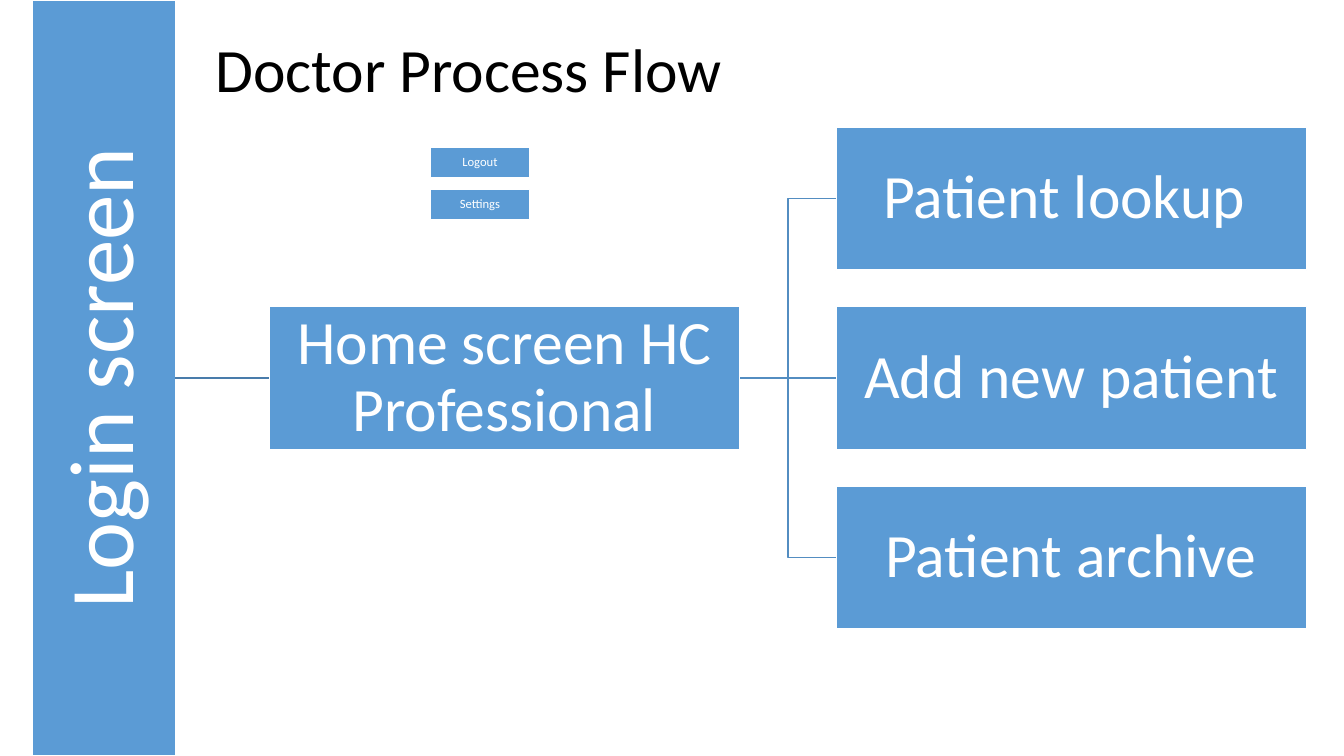
from dataclasses import dataclass

from lxml import etree
from pptx import Presentation
from pptx.dml.color import RGBColor
from pptx.enum import shapes, text
from pptx.oxml import ns
from pptx.util import Inches, Pt


@dataclass(frozen=True)
class Theme:
    font: str = "Calibri"
    box_fill: RGBColor = RGBColor(0x5B, 0x9B, 0xD5)
    white: RGBColor = RGBColor(0xFF, 0xFF, 0xFF)
    black: RGBColor = RGBColor(0, 0, 0)
    login_line: RGBColor = RGBColor(0x49, 0x7C, 0xAB)
    branch_line: RGBColor = RGBColor(0x53, 0x8D, 0xC1)
    login_size: int = 65
    large_size: int = 44
    small_size: int = 9


THEME = Theme()
TOP, LEFT, BOTTOM, RIGHT = range(4)


def write(shape, words, size, color):
    """Put one centred paragraph into a shape."""
    frame = shape.text_frame
    frame.text = words
    frame.word_wrap = True
    frame.auto_size = text.MSO_AUTO_SIZE.NONE
    para = frame.paragraphs[0]
    para.alignment = text.PP_ALIGN.CENTER
    para.line_spacing = 0.9
    font = para.runs[0].font
    font.name, font.size, font.color.rgb = THEME.font, Pt(size), color


def add_box(page, words, left, top, width, height, size, inset):
    box = page.shapes.add_shape(
        shapes.MSO_SHAPE.RECTANGLE,
        Inches(left), Inches(top), Inches(width), Inches(height))
    box.shadow.inherit = False
    box.fill.solid()
    box.fill.fore_color.rgb = THEME.box_fill
    box.line.color.rgb = THEME.white
    box.line.width = Pt(1)
    write(box, words, size, THEME.white)
    frame = box.text_frame
    frame.vertical_anchor = text.MSO_ANCHOR.MIDDLE
    frame.margin_left = frame.margin_right = Inches(inset)
    frame.margin_top = frame.margin_bottom = Inches(inset)
    return box


def link(page, kind, start, start_side, end, color):
    """Join a side of one box to the left side of another."""
    line = page.shapes.add_connector(kind, 0, 0, 0, 0)
    line.begin_connect(start, start_side)
    line.end_connect(end, LEFT)
    line.line.color.rgb = color
    line.line.width = Pt(1)
    etree.SubElement(line._element.spPr, ns.qn("a:effectLst"))
    return line


def add_title(page, left, top, width, height):
    title = page.shapes.title
    title.left, title.top = Inches(left), Inches(top)
    title.width, title.height = Inches(width), Inches(height)
    write(title, "Doctor Process Flow", THEME.large_size, THEME.black)
    title.text_frame.vertical_anchor = text.MSO_ANCHOR.BOTTOM


def add_flow(page, left, top, width, height):
    """Login bar, home screen and the three screens it leads to."""
    box_width, box_height, gap, row_gap = 4.67, 1.42, 0.93, 0.36
    middle = top + height / 2
    row_top = middle - box_height / 2
    home_left = left + box_height + gap
    screen_left = left + width - box_width

    bar_left = left + box_height / 2 - height / 2
    login = add_box(page, "Login screen", bar_left, row_top, height,
                    box_height, THEME.login_size, 0.05)
    login.rotation = 270
    home = add_box(page, "Home screen HC Professional", home_left, row_top,
                   box_width, box_height, THEME.large_size, 0.03)

    entry = link(page, shapes.MSO_CONNECTOR.STRAIGHT, login, BOTTOM, home,
                 THEME.login_line)
    # The bar is turned, so its bottom side faces right.
    entry.begin_x, entry.begin_y = Inches(left + box_height), entry.end_y

    screens = ["Patient lookup ", "Add new patient", "Patient archive"]
    for row, words in enumerate(screens, start=-1):
        screen = add_box(page, words, screen_left,
                         row_top + row * (box_height + row_gap),
                         box_width, box_height, THEME.large_size, 0.03)
        kind = shapes.MSO_CONNECTOR.ELBOW if row else shapes.MSO_CONNECTOR.STRAIGHT
        link(page, kind, home, RIGHT, screen, THEME.branch_line)


def add_menu(page, left, top, width, height):
    button_height = 0.3
    pitch = height - button_height
    for row, words in enumerate(["Logout", "Settings"]):
        add_box(page, words, left, top + row * pitch, width, button_height,
                THEME.small_size, 0.01)


def main():
    deck = Presentation()
    deck.slide_width, deck.slide_height = Inches(13.33), Inches(7.5)
    page = deck.slides.add_slide(deck.slide_layouts.get_by_name("Title Only"))
    add_flow(page, 0.32, 0, 12.64, 7.5)
    add_menu(page, 4.27, 1.46, 0.98, 0.72)
    add_title(page, -1.1, -0.35, 11.5, 1.45)
    deck.save("out.pptx")


if __name__ == "__main__":
    main()
